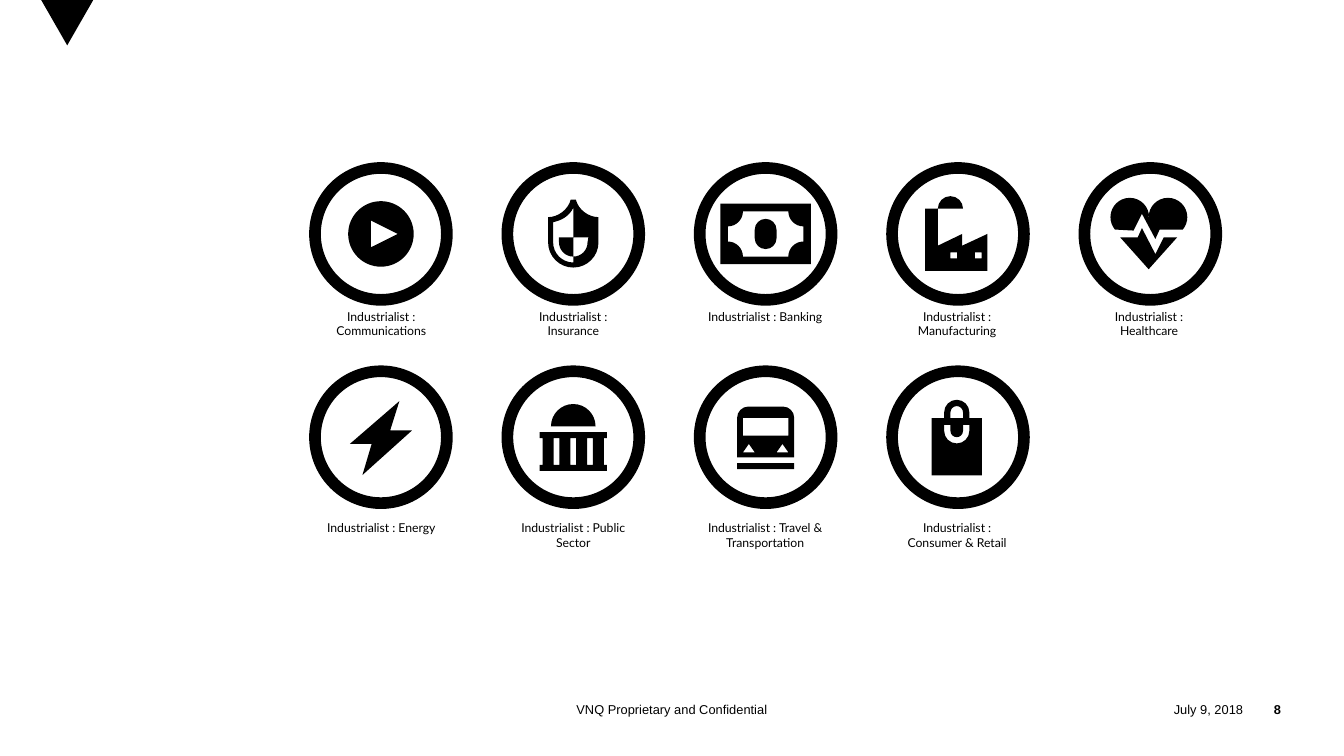
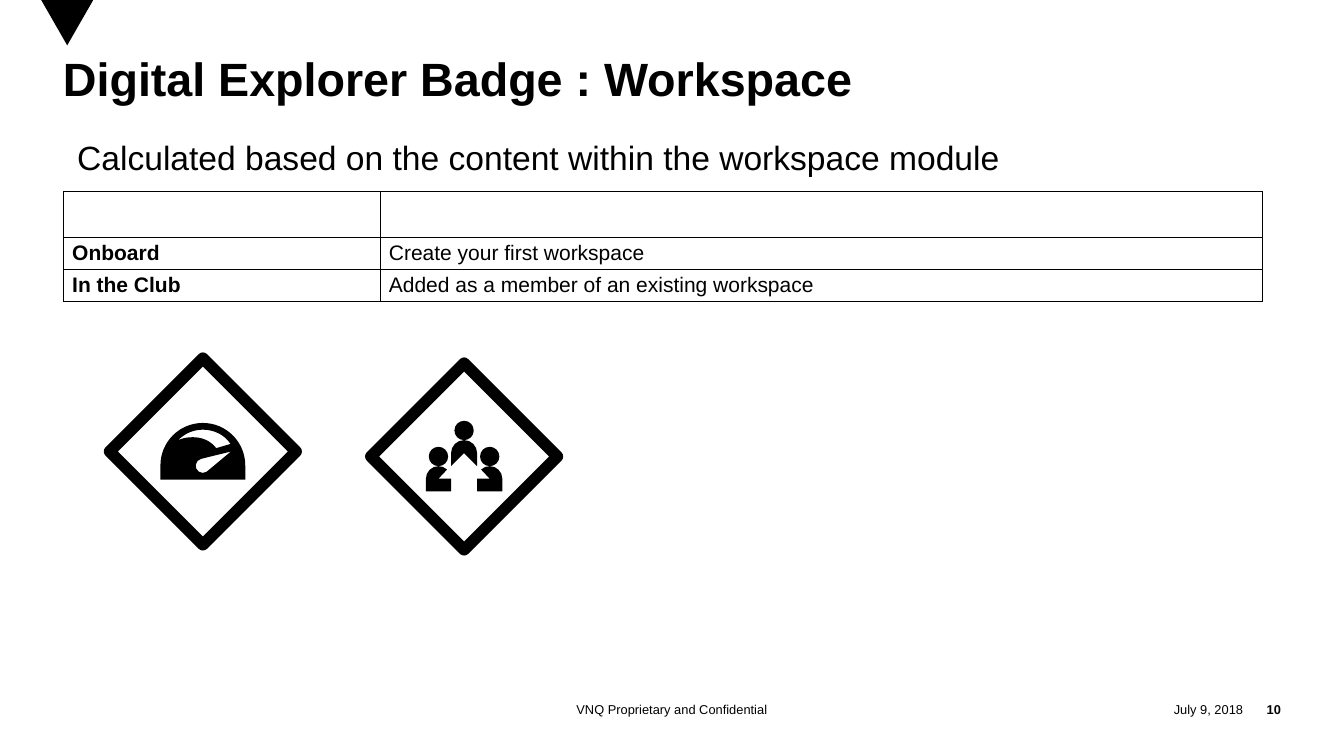
from math import ceil, cos, radians, sin, tan

from lxml import etree
from pptx import Presentation
from pptx.dml.color import RGBColor
from pptx.enum.shapes import MSO_SHAPE
from pptx.enum.text import MSO_ANCHOR, PP_ALIGN
from pptx.oxml.ns import qn
from pptx.util import Inches, Pt

COLORS = {"ink": "000000", "paper": "FFFFFF"}
BODY_FONT, LABEL_FONT = "Arial", "Lato"
SLIDE_WIDTH, SLIDE_HEIGHT = 16, 9
FOOTER_TOP, FOOTER_HEIGHT = 8.29, 0.3
FOOTER, DATE = "VNQ Proprietary and Confidential", "July 9, 2018"

BADGE_SIZE = 1.57
GRID_LEFT, GRID_TOP = 3.75, 2
COLUMN_STEP, ROW_STEP = 2.29, 2.42
LABEL_LEFT, LABEL_STEP = 3.72, (12.86 - 3.72) / 4
LABEL_TOPS, LABEL_WIDTH = (3.63, 6.15), 1.64
LABEL_HEIGHT, SHORT_LABEL_HEIGHT, SHORT_NAME = 0.45, 0.28, 7
TABLE_COLUMNS, TABLE_ROWS = (3.77, 10.5), (0.55, 0.38, 0.38)


# Outline helpers, in hundredths of an inch from the badge centre.
# A pair is a corner; six numbers are two control points and the end of a curve.
def arc(x, y, radius, start, end):
    count = ceil(abs(end - start) / 90)
    step = radians(end - start) / count
    reach = 4 / 3 * tan(step / 4)
    segments = [(x + radius * cos(radians(start)), y + radius * sin(radians(start)))]
    for i in range(count):
        a = radians(start) + i * step
        b = a + step
        segments.append((
            x + radius * (cos(a) - reach * sin(a)), y + radius * (sin(a) + reach * cos(a)),
            x + radius * (cos(b) + reach * sin(b)), y + radius * (sin(b) - reach * cos(b)),
            x + radius * cos(b), y + radius * sin(b)))
    return segments


def box(left, top, width, height):
    right, bottom = left + width, top + height
    return [(left, top), (right, top), (right, bottom), (left, bottom)]


def mirror(outline):
    return [tuple(-v if i % 2 == 0 else v for i, v in enumerate(segment))
            for segment in outline]


# Icons: each is a list of outlines, inner ones cut holes
PLAY = [arc(0, 0, 39, 0, 360), [(-12, -16), (20, 0), (-12, 16)]]

SHIELD = [
    [(-3, -41), (-6, -29, -18, -20, -30, -20)] + arc(0, 10, 30, 180, 0)
    + [(30, -20), (18, -20, 6, -29, 3, -41)],
    [(18, 4)] + arc(0, 10, 17, 0, 90) + arc(0, 10, 24, 90, 180)
    + [(-24, -14), (-14, -16, -5, -21, 0, -31), (0, 4)],
    [(0, 4)] + arc(0, 10, 17, 90, 180) + [(-17, 4)],
]

BANKNOTE = [
    box(-54, -36, 108, 72),
    arc(45, 27, 18, 180, 270) + arc(45, -27, 18, 90, 180)
    + arc(-45, -27, 18, 0, 90) + arc(-45, 27, 18, 270, 360),
    arc(0, 5, 13, 0, 180) + arc(0, -5, 13, 180, 360),
]

FACTORY = [
    [(-24, 14), (5, 0), (5, 14), (35, 0), (35, 44), (-39, 44), (-39, -30), (-24, -30)],
    box(20, 22, 8, 7), box(-9, 22, 8, 7),
    arc(-9, -30, 15, 180, 360),
]

HEARTBEAT = [
    arc(-24.5, -20, 23, 140, 180) + arc(-24.5, -20, 23, 180, 360)
    + arc(21, -20, 23, 180, 360) + arc(21, -20, 23, 0, 40)
    + [(11, -5), (6, 6), (-10, -24), (-20, -4)],
    [(16, 4), (6, 24), (-10, -7), (-15, 4), (-36, 4), (-2, 42), (32, 4)],
]

BOLT = [[(22, -43), (-37, 8), (-11, 8), (-22, 45), (37, -8), (11, -8)]]

CAPITOL = [
    arc(0, -13, 26.5, 180, 360),
    box(-40, -6, 80, 7), box(-40, 33, 80, 7),
    *[box(-36.5 + 20 * i, 1, 13, 32) for i in range(4)],
]

HEADLIGHT = [(27, 18), (20, 8), (13, 18)]
TRAIN = [
    [(34, 24), (-34, 24)] + arc(-20.5, -23, 13.5, 180, 270) + arc(20.5, -23, 13.5, 270, 360),
    box(-27, -23, 54, 21), HEADLIGHT, mirror(HEADLIGHT),
    box(-34, 31, 68, 7),
]

BAG = [
    arc(-1.5, -29.5, 15, 180, 360)
    + [(13.5, -22.5), (28.5, -22.5), (28.5, 45.5), (-31.5, 45.5), (-31.5, -22.5), (-16.5, -22.5)],
    arc(-1.5, -29.5, 7.5, 180, 360) + [(6, -22.5), (-9, -22.5)],
    arc(-1.5, -7.5, 15, 0, 180) + [(-16.5, -14.5), (-9, -14.5)]
    + arc(-1.5, -7.5, 7.5, 180, 0) + [(6, -14.5), (13.5, -14.5)],
]

GAUGE = [
    arc(0, 16.5, 50.5, 180, 360) + [(50.5, 33.5), (-50.5, 33.5)],
    [(33.5, 0)] + arc(0, 17, 8.5, 255, 60),
    [(16, -4), (33, -9), (26, -20, 13, -26, 0, -26), (-12, -26, -22, -21, -30, -13),
     (-25, -16, -18, -17, -12, -17), (-1, -17, 9, -13, 16, -4)],
]

MEMBER_HEAD = arc(-30.5, 0, 11.5, 0, 360)
MEMBER_BODY = arc(-30.5, 26.5, 15, 313, 270) + arc(-30.5, 26.5, 15, 270, 180) + [
    (-45.5, 41.5), (-15.5, 41.5), (-15.5, 26.5), (-30.5, 26.5)]
TEAM = [
    arc(0, -31, 11.5, 0, 360),
    arc(0, -4, 15.5, 180, 360) + [(15.5, 11.5), (0, -4), (-15.5, 11.5)],
    MEMBER_HEAD, MEMBER_BODY, mirror(MEMBER_HEAD), mirror(MEMBER_BODY),
]

# Slide content
INDUSTRY_ROWS = [
    [("Communications", PLAY), ("Insurance", SHIELD), ("Banking", BANKNOTE),
     ("Manufacturing", FACTORY), ("Healthcare", HEARTBEAT)],
    [("Energy", BOLT), ("Public Sector", CAPITOL), ("Travel & Transportation", TRAIN),
     ("Consumer & Retail", BAG)],
]
TITLE = "Digital Explorer Badge : Workspace"
SUBTITLE = "Calculated based on the content within the workspace module"
WORKSPACE_TABLE = [
    ("", ""),
    ("Onboard", "Create your first workspace"),
    ("In the Club", "Added as a member of an existing workspace"),
]
WORKSPACE_BADGES = [(1.63, 4.59, GAUGE), (4.74, 4.65, TEAM)]


def color(name):
    return RGBColor.from_string(COLORS[name])


def paint(shape, fill, line_width=None):
    shape.shadow.inherit = False
    shape.fill.solid()
    shape.fill.fore_color.rgb = color(fill)
    if line_width:
        shape.line.color.rgb = color("ink")
        shape.line.width = Pt(line_width)
    else:
        shape.line.fill.background()


def add_run(paragraph, text, size, bold=False, font=BODY_FONT):
    run = paragraph.add_run()
    run.text = text
    run.font.name, run.font.size, run.font.bold = font, Pt(size), bold
    run.font.color.rgb = color("ink")


def add_text(slide, area, text, size, bold=False, font=BODY_FONT, align=PP_ALIGN.LEFT,
             anchor=MSO_ANCHOR.TOP, inset=True, spacing=None):
    frame = slide.shapes.add_textbox(*map(Inches, area)).text_frame
    frame.word_wrap = True
    frame.vertical_anchor = anchor
    if not inset:
        frame.margin_left = frame.margin_right = frame.margin_top = frame.margin_bottom = 0
    paragraph = frame.paragraphs[0]
    paragraph.alignment = align
    if spacing:
        paragraph.line_spacing = spacing
    add_run(paragraph, text, size, bold, font)


def add_icon(slide, center_x, center_y, outlines):
    builder = None
    for outline in outlines:
        points = [(Inches(center_x + segment[i] / 100), Inches(center_y + segment[i + 1] / 100))
                  for segment in outline for i in range(0, len(segment), 2)]
        if builder is None:
            builder = slide.shapes.build_freeform(*points[0])
        else:
            builder.move_to(*points[0])
        builder.add_line_segments(points[1:], close=True)
    shape = builder.convert_to_shape()
    # Merge each curve's three points into one Bezier segment
    lines = iter(list(shape.element.iter(qn("a:lnTo"))))
    for outline in outlines:
        for segment in outline[1:]:
            line = next(lines)
            if len(segment) == 6:
                bezier = etree.Element(qn("a:cubicBezTo"))
                line.addprevious(bezier)
                for part in (line, next(lines), next(lines)):
                    bezier.append(part[0])
                    part.getparent().remove(part)
    paint(shape, "ink")


def add_badge(slide, left, top, icon, preset, rotation=0):
    frame = slide.shapes.add_shape(preset, *map(Inches, (left, top, BADGE_SIZE, BADGE_SIZE)))
    frame.rotation = rotation
    paint(frame, "paper", 10)
    add_icon(slide, left + BADGE_SIZE / 2, top + BADGE_SIZE / 2, icon)


def add_base_slide(presentation, number):
    slide = presentation.slides.add_slide(presentation.slide_layouts[6])
    slide.background.fill.solid()
    slide.background.fill.fore_color.rgb = color("paper")
    add_icon(slide, 0.8, 0, [[(-31, 0), (0, 54), (31, 0)]])
    for left, width, text, align, bold in (
            (13.01, 1.79, DATE, PP_ALIGN.RIGHT, False),
            (14.8, 0.45, str(number), PP_ALIGN.RIGHT, True),
            (5.25, 5.5, FOOTER, PP_ALIGN.CENTER, False)):
        add_text(slide, (left, FOOTER_TOP, width, FOOTER_HEIGHT), text, 11, bold,
                 align=align, anchor=MSO_ANCHOR.MIDDLE, inset=False)
    return slide


def add_borders(cell):
    properties = cell._tc.get_or_add_tcPr()
    for index, side in enumerate(("lnL", "lnR", "lnT", "lnB")):
        line = etree.Element(qn(f"a:{side}"), w=str(Pt(1)))
        fill = etree.SubElement(line, qn("a:solidFill"))
        etree.SubElement(fill, qn("a:srgbClr"), val=COLORS["ink"])
        properties.insert(index, line)


def add_workspace_table(slide):
    area = (0.76, 2.28, sum(TABLE_COLUMNS), sum(TABLE_ROWS))
    table = slide.shapes.add_table(
        len(TABLE_ROWS), len(TABLE_COLUMNS), *map(Inches, area)).table
    table.first_row = table.horz_banding = False
    for column, width in zip(table.columns, TABLE_COLUMNS):
        column.width = Inches(width)
    for row, height, texts in zip(table.rows, TABLE_ROWS, WORKSPACE_TABLE):
        row.height = Inches(height)
        for index, (cell, text) in enumerate(zip(row.cells, texts)):
            cell.margin_bottom = Inches(0.03)
            cell.fill.background()
            add_borders(cell)
            if text:
                add_run(cell.text_frame.paragraphs[0], text, 18, bold=index == 0)


def build_industry_slide(presentation):
    slide = add_base_slide(presentation, 8)
    for row, industries in enumerate(INDUSTRY_ROWS):
        for column, (name, icon) in enumerate(industries):
            add_badge(slide, GRID_LEFT + column * COLUMN_STEP, GRID_TOP + row * ROW_STEP,
                      icon, MSO_SHAPE.OVAL)
            height = SHORT_LABEL_HEIGHT if len(name) <= SHORT_NAME else LABEL_HEIGHT
            area = (LABEL_LEFT + column * LABEL_STEP, LABEL_TOPS[row], LABEL_WIDTH, height)
            add_text(slide, area, f"Industrialist : {name}", 10.5, font=LABEL_FONT,
                     align=PP_ALIGN.CENTER)


def build_workspace_slide(presentation):
    slide = add_base_slide(presentation, 10)
    add_text(slide, (0.75, 0.7, 14.5, 1.55), TITLE, 40, True, inset=False, spacing=0.85)
    add_workspace_table(slide)
    add_text(slide, (0.82, 1.58, 11.28, 0.59), SUBTITLE, 28.8)
    for left, top, icon in WORKSPACE_BADGES:
        add_badge(slide, left, top, icon, MSO_SHAPE.RECTANGLE, 45)


def main():
    presentation = Presentation()
    presentation.slide_width = Inches(SLIDE_WIDTH)
    presentation.slide_height = Inches(SLIDE_HEIGHT)
    build_industry_slide(presentation)
    build_workspace_slide(presentation)
    presentation.save("out.pptx")


if __name__ == "__main__":
    main()
